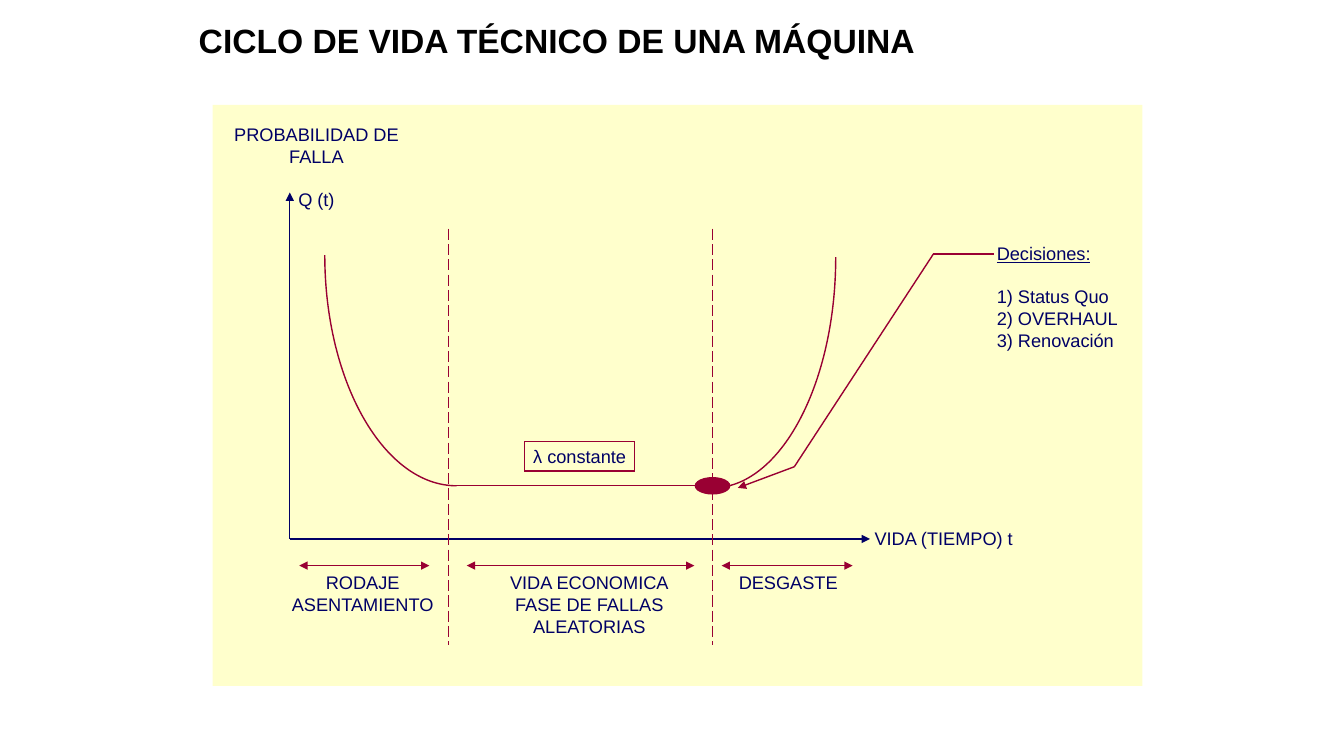
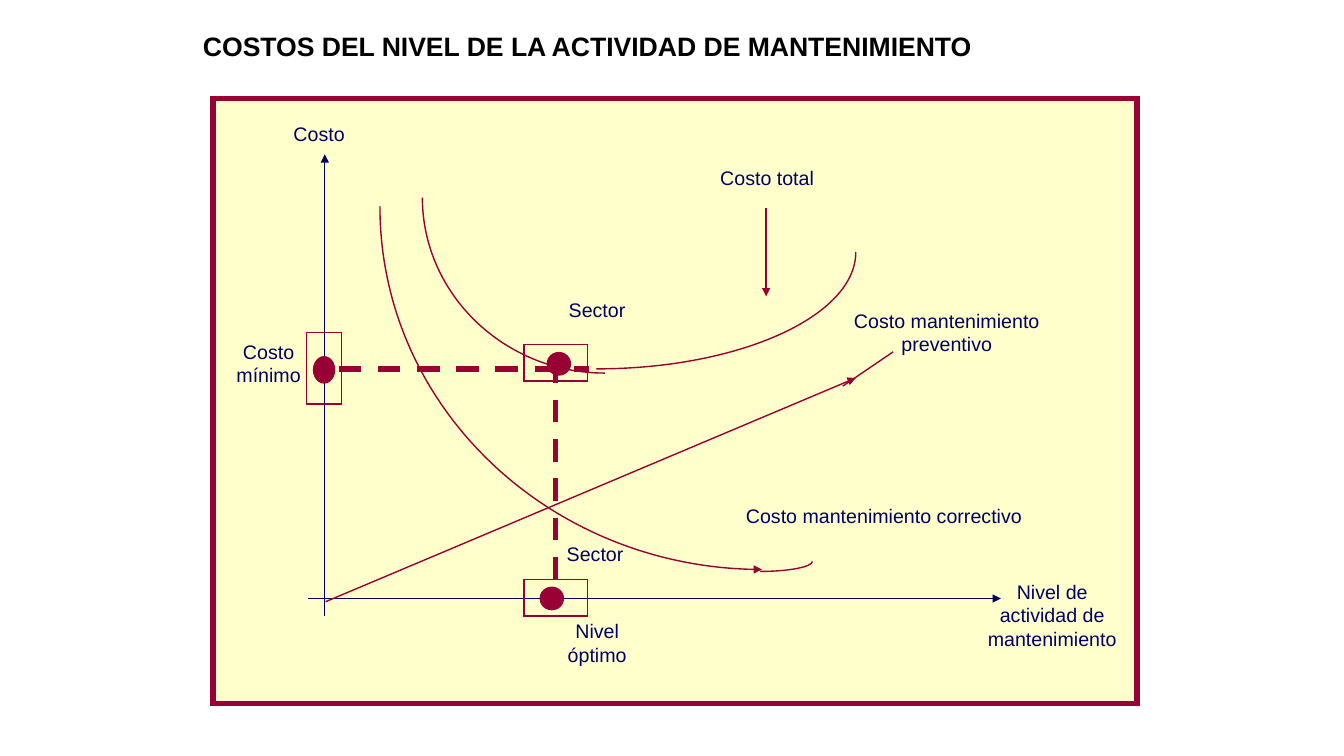
from dataclasses import dataclass

from lxml import etree
from pptx import Presentation
from pptx.dml.color import RGBColor
from pptx.enum import dml, shapes, text
from pptx.oxml.ns import qn
from pptx.util import Pt

RECT = shapes.MSO_SHAPE.RECTANGLE
OVAL = shapes.MSO_SHAPE.OVAL
DASH = dml.MSO_LINE.DASH
LONG_DASH = dml.MSO_LINE.LONG_DASH
LEFT = text.PP_ALIGN.LEFT
CENTER = text.PP_ALIGN.CENTER


@dataclass(frozen=True)
class Theme:
    font: str = "Arial"
    black: RGBColor = RGBColor(0, 0, 0)
    navy: RGBColor = RGBColor(0x00, 0x00, 0x66)
    wine: RGBColor = RGBColor(0x99, 0x00, 0x33)
    cream: RGBColor = RGBColor(0xFF, 0xFF, 0xCC)
    title_large: float = 24
    title_small: float = 19
    label_small: float = 13
    label_large: float = 14
    thin: float = 1
    thick: float = 4
    leading: float = 1.19
    inset_x: float = 5
    inset_y: float = 2.5


T = Theme()


def style_text(tf, lines, size, color, align=LEFT, bold=False):
    tf.word_wrap = False
    tf.margin_left = tf.margin_right = Pt(T.inset_x)
    tf.margin_top = tf.margin_bottom = Pt(T.inset_y)
    for i, line in enumerate(lines):
        p = tf.paragraphs[0] if i == 0 else tf.add_paragraph()
        p.text = line
        p.alignment = align
        p.line_spacing = Pt(round(size * T.leading, 1))
        p.font.name, p.font.size, p.font.bold = T.font, Pt(size), bold
        p.font.color.rgb = color
    return tf.paragraphs


def add_title(slide, title, top, height, size):
    box = slide.shapes.add_textbox(Pt(137), Pt(top), Pt(687), Pt(height))
    style_text(box.text_frame, [title], size, T.black, bold=True)
    box.text_frame.vertical_anchor = text.MSO_ANCHOR.MIDDLE
    return box


def add_arrowheads(sp, head, tail):
    ln = sp._element.spPr.find(qn("a:ln"))
    for tag, wanted in (("a:headEnd", head), ("a:tailEnd", tail)):
        if wanted:
            etree.SubElement(ln, qn(tag)).set("type", "triangle")


class Panel:
    """Diagram background; its parts are placed in points from its corner."""

    def __init__(self, slide, box, label_size, border=None):
        self.shapes = slide.shapes
        self.x, self.y, width, height = box
        self.label_size = label_size
        self.shape(RECT, 0, 0, width, height, T.cream, border)

    def at(self, x, y):
        return Pt(self.x + x), Pt(self.y + y)

    def shape(self, kind, x, y, w, h, fill=None, border=T.thin):
        sp = self.shapes.add_shape(kind, *self.at(x, y), Pt(w), Pt(h))
        sp.shadow.inherit = False
        if fill is None:
            sp.fill.background()
        else:
            sp.fill.solid()
            sp.fill.fore_color.rgb = fill
        if border is None:
            sp.line.fill.background()
        else:
            sp.line.color.rgb, sp.line.width = T.wine, Pt(border)
            ln = sp._element.spPr.find(qn("a:ln"))
            etree.SubElement(ln, qn("a:miter")).set("lim", "800000")
        return sp

    def dot(self, cx, cy, w, h):
        return self.shape(OVAL, cx - w / 2, cy - h / 2, w, h, T.wine)

    def line(self, start, end, color=T.wine, width=T.thin, dash=None,
             head=False, tail=False):
        c = self.shapes.add_connector(shapes.MSO_CONNECTOR.STRAIGHT,
                                      *self.at(*start), *self.at(*end))
        c.line.color.rgb, c.line.width = color, Pt(width)
        if dash is not None:
            c.line.dash_style = dash
        add_arrowheads(c, head, tail)
        etree.SubElement(c._element.spPr, qn("a:effectLst"))
        return c

    def curve(self, low, side, head=False):
        """Quarter ellipse, level at its low point and upright at its side."""
        (x0, y0), (x1, y1) = self.at(*low), self.at(*side)
        builder = self.shapes.build_freeform(x0, y0)
        builder.add_line_segments([(x1, y1)], close=False)
        sp = builder.convert_to_shape()
        sp.shadow.inherit = False
        sp.fill.background()
        sp.line.color.rgb, sp.line.width = T.wine, Pt(T.thin)
        add_arrowheads(sp, head, False)

        k = 0.55
        left, top = min(x0, x1), min(y0, y1)
        segment = next(sp._element.iter(qn("a:lnTo")))
        bezier = etree.Element(qn("a:cubicBezTo"))
        for x, y in ((x0 + k * (x1 - x0), y0), (x1, y1 + k * (y0 - y1)), (x1, y1)):
            pt = etree.SubElement(bezier, qn("a:pt"))
            pt.set("x", str(round(x - left)))
            pt.set("y", str(round(y - top)))
        segment.getparent().replace(segment, bezier)
        return sp

    def label(self, x, y, w, *lines, align=CENTER):
        h = len(lines) * self.label_size * T.leading + 2 * T.inset_y
        box = self.shapes.add_textbox(*self.at(x, y), Pt(w), Pt(h))
        return style_text(box.text_frame, lines, self.label_size, T.navy, align)


def draw_life_cycle(slide, box):
    panel = Panel(slide, box, T.label_small)
    blank_line = Pt(15.5)
    origin = (55, 310)
    base = 272
    run_in, wear_out = 168.4, 357

    panel.line((55, 62.5), origin, T.navy, head=True)
    panel.line(origin, (469.4, 310), T.navy, tail=True)
    for x in (run_in, wear_out):
        panel.line((x, 88.4), (x, 386), dash=LONG_DASH)
    for x0, x1 in ((61.8, 154.7), (181.4, 344), (363.5, 457)):
        panel.line((x0, 329), (x1, 329), head=True, tail=True)

    panel.line((run_in, base), (wear_out, base))
    panel.curve((174.2, base), (80, 107.2))
    panel.curve((wear_out, 273.5), (445, 108.6))
    panel.dot(wear_out, base, 24.5, 11.5)

    axis_label = panel.label(9.5, 10.7, 129, "PROBABILIDAD DE", "FALLA", "Q (t)")
    axis_label[2].space_before = blank_line
    panel.label(51, 331, 112, "RODAJE", "ASENTAMIENTO")
    panel.label(206.6, 331, 124.6, "VIDA ECONOMICA", "FASE DE FALLAS", "ALEATORIAS")
    panel.label(370.3, 331, 81.4, "DESGASTE")
    panel.label(467, 299, 110, "VIDA (TIEMPO) t")

    decisions = panel.label(555, 95.5, 98, "Decisiones:", "1) Status Quo",
                            "2) OVERHAUL", "3) Renovación", align=LEFT)
    decisions[0].font.underline = True
    decisions[1].space_before = blank_line
    bend, elbow = (514.7, 106.5), (415.4, 258.4)
    panel.line(bend, (558, 106.5))
    panel.line(bend, elbow)
    panel.line(elbow, (375, 273.5), tail=True)

    rate = panel.shape(RECT, 222.7, 240.4, 78.5, 21)
    style_text(rate.text_frame, ["λ constante"], panel.label_size, T.navy, CENTER)


def draw_costs(slide, box):
    panel = Panel(slide, box, T.label_large, border=T.thick)

    panel.line((68.3, 357), (563, 357), T.navy, tail=True)
    panel.line((80, 39.7), (80, 369.5), T.navy, head=True)

    panel.shape(RECT, 67, 167, 25, 51)
    for y in (175.7, 343.5):
        panel.shape(RECT, 222.4, y, 45.4, 26)
    panel.line((244.7, 187.3), (244.7, 355.7), width=T.thick, dash=DASH)
    panel.line((90, 193), (269, 193), width=T.thick, dash=DASH)

    panel.line((80.6, 359.3), (459.3, 199.5), tail=True)
    panel.line((450, 205.3), (486, 180.8))
    panel.line((395.2, 77.8), (395.2, 141.2), tail=True)

    panel.curve((392.3, 336.3), (119.4, 77), head=True)
    panel.curve((391, 337.7), (428.3, 330.5))
    panel.curve((280, 196), (149.7, 70.6))
    panel.curve((274, 193), (459.3, 109.5))

    panel.dot(79.5, 193.7, 15, 18.7)
    panel.dot(242.2, 357, 16.5, 16)
    panel.dot(247.2, 189.4, 16.5, 16)

    panel.label(52.5, 14.5, 47, "Costo")
    panel.label(11.4, 169.6, 57, "Costo", "mínimo")
    panel.label(249, 140, 51, "Sector")
    panel.label(247.6, 314, 51, "Sector")
    panel.label(248.3, 369.5, 52.6, "Nivel", "óptimo")
    panel.label(357, 45.4, 78, "Costo total")
    panel.label(452.8, 147.7, 143, "Costo mantenimiento", "preventivo")
    panel.label(375, 287, 209, "Costo mantenimiento correctivo")
    panel.label(544.6, 341.3, 110, "Nivel de", "actividad de", "mantenimiento")


def main():
    prs = Presentation()
    prs.slide_width, prs.slide_height = Pt(960), Pt(540)
    blank = prs.slide_layouts[6]

    s = prs.slides.add_slide(blank)
    add_title(s, "CICLO DE VIDA TÉCNICO DE UNA MÁQUINA", 11.5, 34.5, T.title_large)
    draw_life_cycle(s, (152, 75, 664, 415))

    s = prs.slides.add_slide(blank)
    title = add_title(s, "COSTOS DEL NIVEL DE LA ACTIVIDAD DE MANTENIMIENTO",
                      17.5, 31, T.title_small)
    title.text_frame.margin_left = Pt(8)
    draw_costs(s, (152, 70.5, 660, 432))

    prs.save("out.pptx")


if __name__ == "__main__":
    main()
